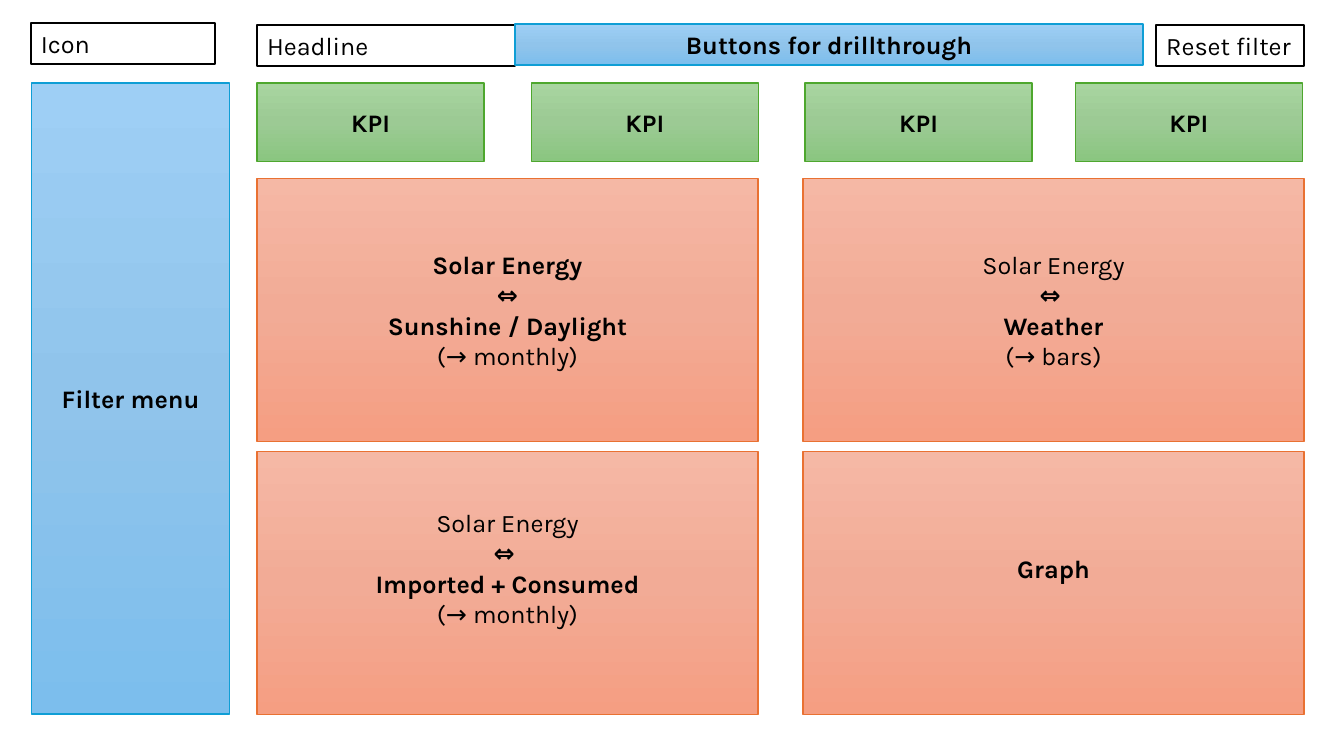
import copy

import pptx
import pptx.dml.color
import pptx.enum.shapes
import pptx.enum.text
import pptx.oxml.ns
import pptx.util

Cm = pptx.util.Cm
ALIGN = pptx.enum.text.PP_ALIGN
ANCHOR = pptx.enum.text.MSO_ANCHOR

BLUE = ("9ECFF5", "90C4EB", "7CBEED"), "0F9ED5"
GREEN = ("A8D5A0", "9CCA94", "8AC680"), "4EA72E"
ORANGE = ("F5B8A5", "F2AB96", "F59E82"), "E97132"


def rgb(hex_code):
    return pptx.dml.color.RGBColor.from_string(hex_code)


def write(frame, lines, align=ALIGN.CENTER, anchor=ANCHOR.MIDDLE, size=18,
          font="Karla", color="000000", bottom=0.13):
    frame.word_wrap = True
    frame.vertical_anchor = anchor
    frame.margin_bottom = Cm(bottom)
    for index, (text, bold) in enumerate(lines):
        paragraph = frame.add_paragraph() if index else frame.paragraphs[0]
        paragraph.alignment = align
        run = paragraph.add_run()
        run.text = text
        run.font.name = font
        run.font.size = pptx.util.Pt(size)
        run.font.bold = bold
        run.font.color.rgb = rgb(color)


def add_box(slide, box, outline, weight):
    panel = slide.shapes.add_shape(
        pptx.enum.shapes.MSO_SHAPE.RECTANGLE, *map(Cm, box))
    panel.shadow.inherit = False
    panel.line.color.rgb = rgb(outline)
    panel.line.width = pptx.util.Pt(weight)
    return panel


def add_label(slide, box, text):
    label = add_box(slide, box, "000000", 1.5)
    label.fill.solid()
    label.fill.fore_color.rgb = rgb("FFFFFF")
    write(label.text_frame, [(text, False)], align=ALIGN.LEFT, anchor=ANCHOR.TOP)
    label.text_frame.auto_size = pptx.enum.text.MSO_AUTO_SIZE.SHAPE_TO_FIT_TEXT


def add_tile(slide, box, palette, lines, **text_format):
    shades, outline = palette
    tile = add_box(slide, box, outline, 1)
    tile.fill.gradient()
    tile.fill.gradient_angle = 270
    stop_list = next(tile._element.spPr.iter(pptx.oxml.ns.qn("a:gsLst")))
    stop_list.insert(1, copy.deepcopy(stop_list[0]))
    for index, (stop, shade) in enumerate(zip(tile.fill.gradient_stops, shades)):
        stop.position = index / 2
        stop.color.rgb = rgb(shade)
    write(tile.text_frame, lines, **text_format)


def add_header(slide, left, top, width, height):
    add_label(slide, (left + 5.7, top + 0.05, 6.5, height), "Headline")
    add_label(slide, (left + 28.36, top + 0.05, 3.73, height), "Reset filter")
    add_tile(slide, (left + 12.2, top + 0.03, 15.83, height), BLUE,
             [("Buttons for drillthrough", True)])
    add_label(slide, (left, top, 4.65, height), "Icon")


def add_kpis(slide, left, top, width, height):
    for offset in (0, 6.91, 13.81, 20.62):
        add_tile(slide, (left + offset, top, 5.72, height), GREEN, [("KPI", True)])


def add_graphs(slide, left, top, width, height):
    graph_width, graph_height = 12.62, 6.63
    sunshine = [("Solar Energy", True), ("⇔", True),
                ("Sunshine / Daylight", True), ("(→ monthly)", False)]
    weather = [("Solar Energy", False), ("⇔ ", True),
               ("Weather", True), ("(→ bars)", False)]
    imported = [("Solar Energy", False), ("⇔ ", True),
                ("Imported + Consumed", True), ("(→ monthly)", False)]
    rows = [([sunshine, weather], 0.13), ([imported, [("Graph", True)]], 0.89)]
    for row, (graphs, bottom) in enumerate(rows):
        for column, lines in enumerate(graphs):
            box = (left + column * (width - graph_width),
                   top + row * (height - graph_height), graph_width, graph_height)
            add_tile(slide, box, ORANGE, lines, bottom=bottom)


def main():
    deck = pptx.Presentation()
    deck.slide_width, deck.slide_height = Cm(33.87), Cm(19.05)
    dashboard = deck.slides.add_slide(deck.slide_layouts[6])
    add_header(dashboard, 0.78, 0.58, 32.09, 1.03)
    add_tile(dashboard, (0.8, 2.09, 4.98, 15.9), BLUE, [("Filter menu", True)])
    add_kpis(dashboard, 6.48, 2.09, 26.34, 1.98)
    add_graphs(dashboard, 6.48, 4.5, 26.38, 13.51)
    deck.save("out.pptx")


if __name__ == "__main__":
    main()
